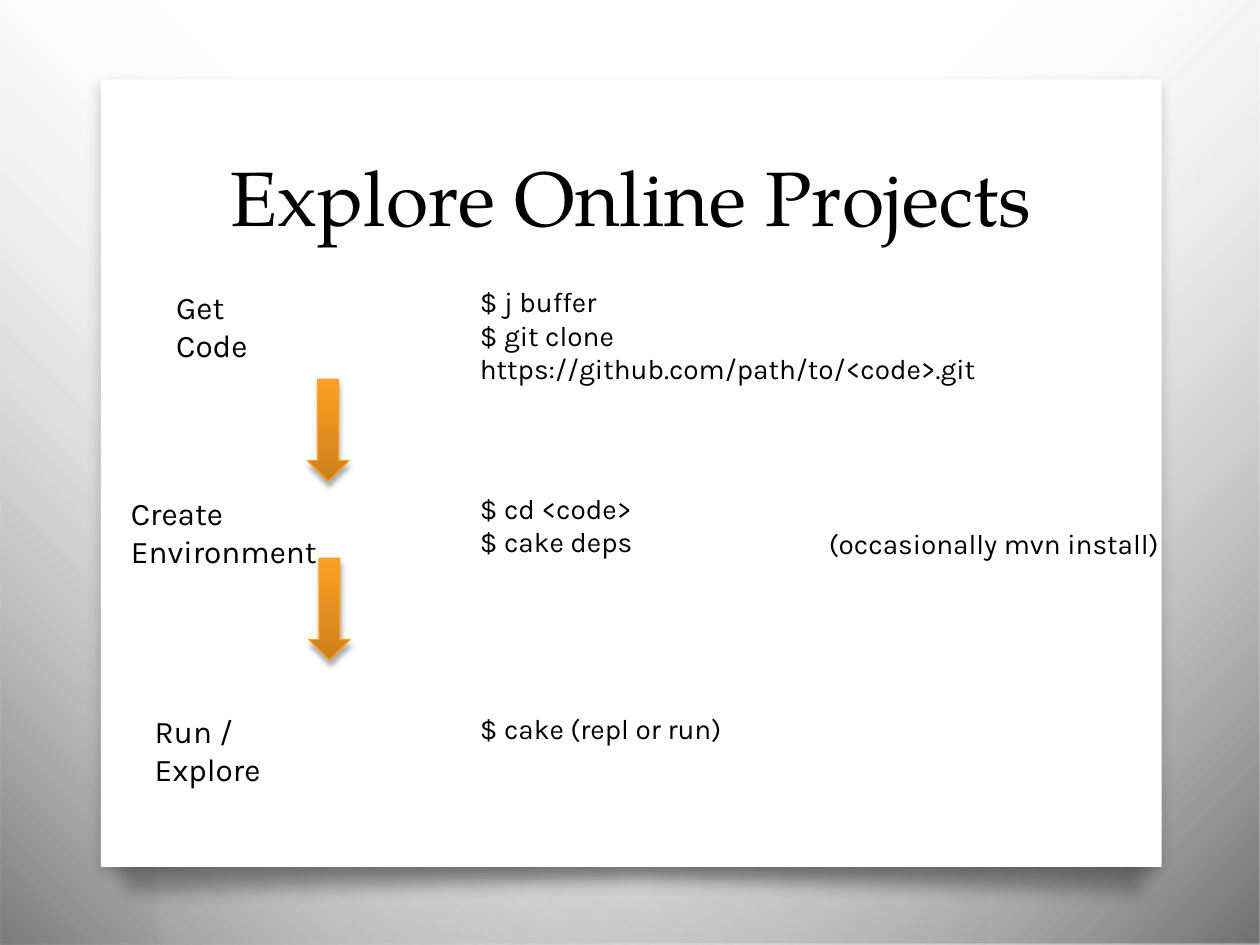
from pptx import Presentation
from pptx.dml.color import RGBColor
from pptx.enum import shapes, text
from pptx.oxml import parse_xml
from pptx.oxml.ns import nsdecls, qn
from pptx.util import Inches, Pt

THEME = {
    "title_font": "TeX Gyre Pagella", "body_font": "Karla",
    "title": 44, "label": 18, "command": 16,
    "ink": "000000", "paper": "FFFFFF",
    "shade": "010101", "glow": "FEFEFE",
    "arrow": "FDA023", "arrow_dark": "CB801C",
}

TITLE = "Explore Online Projects"
LABELS = [
    ("Get Code", 1.3, 2.24, 1.18),
    ("Create Environment", 0.94, 3.87, 2.31),
    ("Run / Explore", 1.13, 5.6, 1.6),
]
COMMANDS = [
    (["$ j buffer", "$ git clone https://github.com/path/to/<code>.git"], 3.71, 2.21, 5.11),
    (["$ cd <code>", "$ cake deps"], 3.71, 3.85, 5.11),
    (["$ cake (repl or run)"], 3.71, 5.6, 5.11),
    (["(occasionally mvn install)"], 6.48, 4.13, 3.3),
]
ARROWS = [(2.44, 3.01), (2.45, 4.43)]
CORNERS = [
    (0, 7.83, 52, 60, (0, 100, 100, 0)),
    (1.25, 8.75, 56, 61, (100, 100, 0, 0)),
]
CURL = [(9.35, 6.64), (9.17, 7.22), (5.03, 7.11), (0.87, 7.22), (0.69, 6.64)]


def color(name):
    return RGBColor.from_string(THEME[name])


def gradient(shape, stops, focus=None):
    marks = "".join(
        f'<a:gs pos="{at * 1000}"><a:srgbClr val="{THEME[name]}">'
        f'<a:alpha val="{alpha * 1000}"/></a:srgbClr></a:gs>'
        for at, name, alpha in stops)
    if focus:
        sides = " ".join(f'{side}="{share * 1000}"' for side, share in zip("ltrb", focus))
        course = f'<a:path path="circle"><a:fillToRect {sides}/></a:path>'
    else:
        course = '<a:lin ang="5400000" scaled="0"/>'
    shape.fill.background()
    properties = shape._element.spPr
    properties.replace(properties.find(qn("a:noFill")), parse_xml(
        f'<a:gradFill {nsdecls("a")} rotWithShape="1"><a:gsLst>{marks}</a:gsLst>{course}</a:gradFill>'))


def effect(shape, xml):
    shape._element.spPr.find(qn("a:effectLst")).append(parse_xml(xml))


def shadow(shape, alpha, blur, distance, angle):
    effect(shape, f'<a:outerShdw {nsdecls("a")} blurRad="{Pt(blur)}" dist="{Pt(distance)}" '
                  f'dir="{angle * 60000}" rotWithShape="0"><a:srgbClr val="{THEME["ink"]}">'
                  f'<a:alpha val="{alpha * 1000}"/></a:srgbClr></a:outerShdw>')


def plain(shape):
    shape.shadow.inherit = False
    shape.line.fill.background()
    return shape


def add_shape(page, kind, *place):
    return plain(page.shapes.add_shape(kind, *map(Inches, place)))


def add_text(page, lines, place, size, font="body_font"):
    box = page.shapes.add_textbox(*map(Inches, place))
    frame = box.text_frame
    frame.word_wrap = True
    for index, line in enumerate(lines):
        para = frame.paragraphs[0] if index == 0 else frame.add_paragraph()
        span = para.add_run()
        span.text = line
        span.font.name = THEME[font]
        span.font.size = Pt(THEME[size])
        span.font.color.rgb = color("ink")
    return frame


def add_backdrop(page):
    rectangle = shapes.MSO_SHAPE.RECTANGLE
    for left, width, alpha, end, focus in CORNERS:
        corner = add_shape(page, rectangle, left, 0, width, 7.5)
        gradient(corner, [(0, "shade", alpha), (end, "glow", 0)], focus)

    points = [(Inches(x), Inches(y)) for x, y in CURL]
    builder = page.shapes.build_freeform(*points[0])
    builder.add_line_segments(points[1:], close=True)
    curl = plain(builder.convert_to_shape())
    gradient(curl, [(30, "shade", 34), (100, "shade", 26)], (50, 50, 50, 50))
    effect(curl, f'<a:softEdge {nsdecls("a")} rad="{Inches(0.14)}"/>')

    paper = add_shape(page, rectangle, 0.8, 0.63, 8.42, 6.25)
    paper.fill.solid()
    paper.fill.fore_color.rgb = color("paper")
    shadow(paper, 20, 8, 4, 90)


def add_arrow(page, left, top):
    arrow = add_shape(page, shapes.MSO_SHAPE.DOWN_ARROW, left, top, 0.33, 0.81)
    gradient(arrow, [(0, "arrow", 100), (100, "arrow_dark", 100)])
    arrow.line.color.rgb = color("arrow")
    arrow.line.width = Pt(0.75)
    shadow(arrow, 32, 3, 3, 80)


def main():
    deck = Presentation()
    deck.slide_width, deck.slide_height = Inches(10), Inches(7.5)
    page = deck.slides.add_slide(deck.slide_layouts[6])
    add_backdrop(page)

    title = add_text(page, [TITLE], (1.2, 0.89, 7.62, 1.32), "title", "title_font")
    title.vertical_anchor = text.MSO_ANCHOR.MIDDLE
    title.paragraphs[0].alignment = text.PP_ALIGN.CENTER

    for lines, left, top, width in COMMANDS:
        add_text(page, lines, (left, top, width, 0.37 + 0.27 * (len(lines) - 1)), "command")
    for left, top in ARROWS:
        add_arrow(page, left, top)
    for label, left, top, width in LABELS:
        add_text(page, [label], (left, top, width, 0.4), "label")

    deck.save("out.pptx")


if __name__ == "__main__":
    main()
